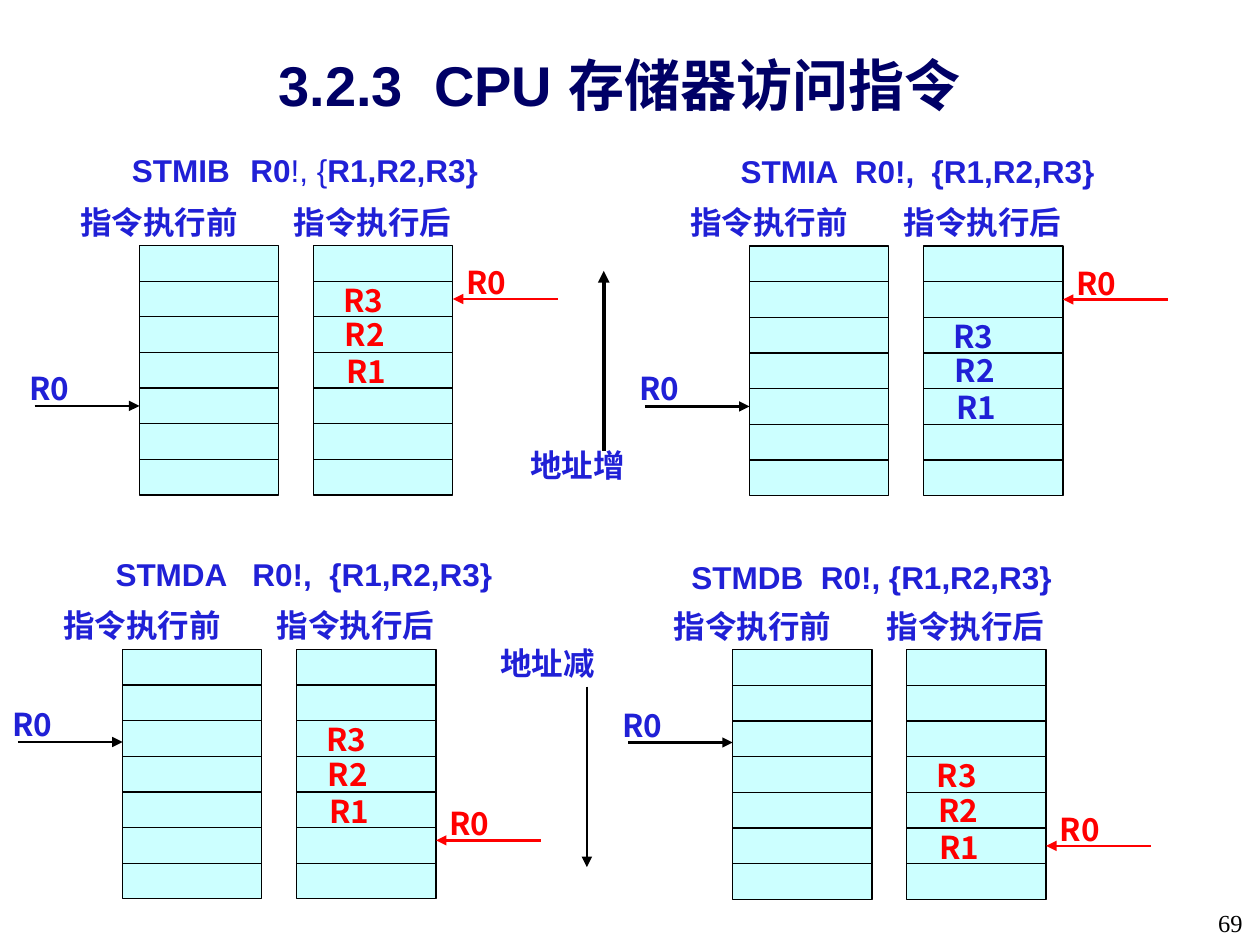
from lxml import etree
from pptx import Presentation
from pptx.dml.color import RGBColor
from pptx.enum.shapes import MSO_CONNECTOR, MSO_SHAPE
from pptx.enum.text import MSO_ANCHOR, PP_ALIGN
from pptx.oxml.ns import qn
from pptx.util import Cm, Pt

STRAIGHT = MSO_CONNECTOR.STRAIGHT
RECTANGLE = MSO_SHAPE.RECTANGLE
MIDDLE = MSO_ANCHOR.MIDDLE
CENTER, JUSTIFY, RIGHT = PP_ALIGN.CENTER, PP_ALIGN.JUSTIFY, PP_ALIGN.RIGHT

BLUE, RED, BLACK, NAVY, CYAN = "2020D6", "FF0000", "000000", "000066", "CCFFFF"
ARIAL, CJK, TIMES = "Arial", "Noto Sans CJK SC", "Times New Roman"

TITLE = "3.2.3  CPU 存储器访问指令"
PAGE_NUMBER = "69"
CAPTIONS = [("指令执行前", -1.44), ("指令执行后", 2.86)]
REGISTERS = [("R3", 3.86, 0), ("R2", 3.89, 0.69), ("R1", 3.92, 1.44)]

PANELS = [
    {"origin": (2.81, 4.95), "heading_at": (2.41, 2.92),
     "heading": [("STMIB", 18, True), ("   ", 14, True), ("R0", 18, True),
                 ("!, {", 18, False), ("R1,R2,R3}", 18, True)],
     "before_row": 4.5, "after_row": 1.5, "first_row": 1, "register_color": RED},
    {"origin": (15.11, 4.96), "heading_at": (14.68, 2.95),
     "heading": [("STMIA  R0!,  {R1,R2,R3}", 18, True)],
     "before_row": 4.5, "after_row": 1.5, "first_row": 2, "register_color": BLUE},
    {"origin": (2.47, 13.09), "heading_at": (2.08, 11.06),
     "heading": [("STMDA   R0!,  {R1,R2,R3}", 18, True)],
     "before_row": 2.6, "after_row": 5.36, "first_row": 2, "register_color": RED},
    {"origin": (14.77, 13.1), "heading_at": (13.69, 11.12),
     "heading": [("STMDB  R0!, {R1,R2,R3}", 18, True)],
     "before_row": 2.6, "after_row": 5.5, "first_row": 3, "register_color": RED},
]
DIRECTIONS = [
    ("地址增", (10.44, 8.86), (12.17, 9.09), (12.17, 5.46), 2.25),
    ("地址减", (9.84, 12.85), (11.83, 13.84), (11.83, 17.48), 1.5),
]

ROWS = 7
STACK_WIDTH, STACK_HEIGHT = 2.81, 5.03
ROW_HEIGHT = STACK_HEIGHT / ROWS
AFTER_OFFSET = 3.51
ARROW_LENGTH = 2.11
LABEL_HEIGHT = 1.07


def color(value):
    return RGBColor.from_string(value)


def add_text(slide, position, size, runs, font_name, font_color, alignment=JUSTIFY):
    box = slide.shapes.add_textbox(*(Cm(value) for value in position + size))
    text_frame = box.text_frame
    text_frame.word_wrap = True
    paragraph = text_frame.paragraphs[0]
    paragraph.alignment = alignment
    for text, points, bold in runs:
        run = paragraph.add_run()
        run.text = text
        run.font.size = Pt(points)
        run.font.bold = bold
        run.font.name = font_name
        run.font.color.rgb = color(font_color)
        east_asian = etree.Element(qn("a:ea"), typeface=CJK)
        run.font._element.find(qn("a:latin")).addnext(east_asian)
    return text_frame


def add_label(slide, text, x, y, width, font_color=BLUE):
    add_text(slide, (x, y), (width, LABEL_HEIGHT), [(text, 18, True)], CJK, font_color)


def add_line(slide, start, end, line_color=BLACK, width=0.75, arrow=False):
    points = [Cm(value) for value in start + end]
    connector = slide.shapes.add_connector(STRAIGHT, *points)
    connector.line.color.rgb = color(line_color)
    connector.line.width = Pt(width)
    if arrow:
        line = connector.line._get_or_add_ln()
        etree.SubElement(line, qn("a:tailEnd"), type="triangle")
    etree.SubElement(connector._element.spPr, qn("a:effectLst"))


def add_stack(slide, x, y):
    lengths = [Cm(value) for value in (x, y, STACK_WIDTH, STACK_HEIGHT)]
    shape = slide.shapes.add_shape(RECTANGLE, *lengths)
    shape.shadow.inherit = False
    shape.fill.solid()
    shape.fill.fore_color.rgb = color(CYAN)
    shape.line.color.rgb = color(BLACK)
    shape.line.width = Pt(0.75)
    for row in range(1, ROWS):
        row_y = y + row * ROW_HEIGHT
        add_line(slide, (x, row_y), (x + STACK_WIDTH, row_y))


def add_panel(slide, panel):
    x, y = panel["origin"]
    add_text(slide, panel["heading_at"], (9.83, LABEL_HEIGHT), panel["heading"], ARIAL, BLUE)
    for text, offset in CAPTIONS:
        add_label(slide, text, x + offset, y - 0.99, 5.61)
    for offset in (0, AFTER_OFFSET):
        add_stack(slide, x + offset, y)

    registers_y = y + panel["first_row"] * ROW_HEIGHT - 0.13
    for text, dx, dy in REGISTERS:
        add_label(slide, text, x + dx, registers_y + dy, 2.11, panel["register_color"])

    before_y = y + panel["before_row"] * ROW_HEIGHT
    add_label(slide, "R0", x - 2.47, before_y - 0.87, 2.11)
    add_line(slide, (x - ARROW_LENGTH, before_y), (x, before_y), BLACK, 1.5, True)

    after_y = y + panel["after_row"] * ROW_HEIGHT
    right = x + AFTER_OFFSET + STACK_WIDTH
    add_label(slide, "R0", right + 0.02, after_y - 0.85, 2.11, RED)
    add_line(slide, (right + ARROW_LENGTH, after_y), (right, after_y), RED, 1.5, True)


def main():
    presentation = Presentation()
    presentation.slide_width = Cm(25.4)
    presentation.slide_height = Cm(19.05)
    slide = presentation.slides.add_slide(presentation.slide_layouts[6])

    add_text(slide, (23.37, 18.19), (1.93, 0.86), [(PAGE_NUMBER, 14, False)],
             TIMES, "010000", RIGHT)
    title = add_text(slide, (1.7, 1.05), (21.59, 1.47), [(TITLE, 32, True)],
                     ARIAL, NAVY, CENTER)
    title.vertical_anchor = MIDDLE
    title.paragraphs[0].line_spacing = 0.9

    for panel in PANELS:
        add_panel(slide, panel)
    for text, position, start, end, width in DIRECTIONS:
        add_line(slide, start, end, BLACK, width, True)
        add_label(slide, text, *position, 4.22)

    presentation.save("out.pptx")


if __name__ == "__main__":
    main()
